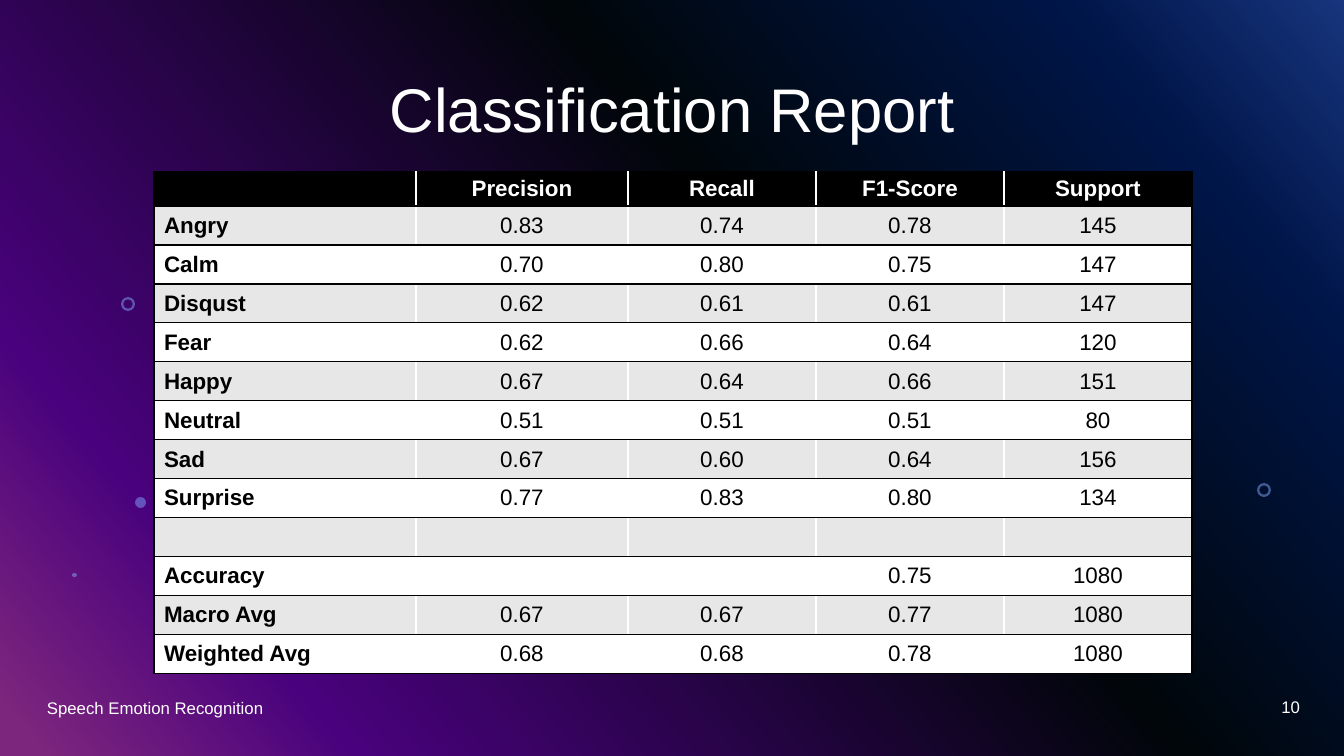
"""Build the classification report slide."""
from pptx import Presentation
from pptx.dml.color import RGBColor
from pptx.enum import shapes, text
from pptx.oxml import ns, xmlchemy as xml
from pptx.util import Pt

TITLE = "Classification Report"
HEADS = ["", "Precision", "Recall", "F1-Score", "Support"]
ROWS = [
    ["Angry", "0.83", "0.74", "0.78", "145"],
    ["Calm", "0.70", "0.80", "0.75", "147"],
    ["Disqust", "0.62", "0.61", "0.61", "147"],
    ["Fear", "0.62", "0.66", "0.64", "120"],
    ["Happy", "0.67", "0.64", "0.66", "151"],
    ["Neutral", "0.51", "0.51", "0.51", "80"],
    ["Sad", "0.67", "0.60", "0.64", "156"],
    ["Surprise", "0.77", "0.83", "0.80", "134"],
    ["", "", "", "", ""],
    ["Accuracy", "", "", "0.75", "1080"],
    ["Macro Avg", "0.67", "0.67", "0.77", "1080"],
    ["Weighted Avg", "0.68", "0.68", "0.78", "1080"],
]
COLS = [262, 212, 188, 188, 188]
HEAD_H, ROW_H = 34, 39
LEFT, MID, RIGHT = text.PP_ALIGN.LEFT, text.PP_ALIGN.CENTER, text.PP_ALIGN.RIGHT
FOOT = [
    ("Speech Emotion Recognition", (37, 688, 454, 40), LEFT),
    ("10", (1008, 687, 302, 40), RIGHT),
]
RING, DOT = shapes.MSO_SHAPE.DONUT, shapes.MSO_SHAPE.OVAL
DOTS = [
    (RING, (121, 297, 14, 14)),
    (DOT, (135, 497, 11, 11)),
    (RING, (1257, 483, 14, 14)),
    (DOT, (72, 573, 5, 4)),
]
STOPS = [(0, "316CFC"), (14, "022D94"), (40, "020D13"), (82, "9405FC"), (98, "FC4EFB")]
HEX = {"black": "000000", "white": "FFFFFF", "band": "E7E7E7", "dot": "83A7FD"}
SIZE = (1344, 756)
SCALE = 914400 / 100.8


def emu(*px):
    return [round(n * SCALE) for n in px]


def rgb(name):
    return RGBColor.from_string(HEX[name])


def sub(node, tag, **attrs):
    child = xml.OxmlElement(tag)
    for key, val in attrs.items():
        child.set(key, str(val))
    node.append(child)
    return child


def write(frame, words, size, color, align, bold=False):
    frame.vertical_anchor = text.MSO_ANCHOR.MIDDLE
    para = frame.paragraphs[0]
    para.alignment = align
    run = para.add_run()
    run.text = words
    font = run.font
    font.name, font.size, font.bold = "Arial", Pt(size), bold
    font.color.rgb = rgb(color)
    return para


def paint(slide):
    fill = slide.background.fill
    fill.gradient()
    fill.gradient_angle = 360 - 140
    stops = slide.element.find(".//" + ns.qn("a:gsLst"))
    stops.clear()
    for pos, color in STOPS:
        stop = sub(stops, "a:gs", pos=pos * 1000)
        sub(stop, "a:srgbClr", val=color)


def shape(slide, kind, box, color, alpha):
    item = slide.shapes.add_shape(kind, *emu(*box))
    item.shadow.inherit = False
    item.line.fill.background()
    item.fill.solid()
    item.fill.fore_color.rgb = rgb(color)
    tint = item.fill._xPr.find(".//" + ns.qn("a:srgbClr"))
    sub(tint, "a:alpha", val=alpha * 1000)
    if kind == RING:
        item.adjustments[0] = 0.17


def cell_look(cell, sides, color):
    props = cell._tc.get_or_add_tcPr()
    for side in sides:
        line = sub(props, "a:ln" + side, w=Pt(1))
        sub(sub(line, "a:solidFill"), "a:srgbClr", val=HEX["black"])
    cell.fill.solid()
    cell.fill.fore_color.rgb = rgb(color)
    cell.margin_top = cell.margin_bottom = 0


def report(slide):
    data = [HEADS] + ROWS
    high = HEAD_H + ROW_H * len(ROWS)
    box = emu(154, 172, sum(COLS), high)
    table = slide.shapes.add_table(len(data), len(COLS), *box).table
    for col, wide in zip(table.columns, emu(*COLS)):
        col.width = wide
    last = len(COLS) - 1
    for r, row in enumerate(data):
        table.rows[r].height = emu(ROW_H if r else HEAD_H)[0]
        back = "black" if r == 0 else "band" if r % 2 else "white"
        for c, words in enumerate(row):
            cell = table.cell(r, c)
            sides = ["L"] * (c == 0) + ["R"] * (c == last) + ["T", "B"]
            cell_look(cell, sides, back)
            if words:
                ink = "black" if r else "white"
                align = MID if c else LEFT
                write(cell.text_frame, words, 16, ink, align, r == 0 or c == 0)
                cell.vertical_anchor = text.MSO_ANCHOR.MIDDLE


def main():
    deck = Presentation()
    deck.slide_width, deck.slide_height = emu(*SIZE)
    slide = deck.slides.add_slide(deck.slide_layouts[5])
    paint(slide)
    shape(slide, shapes.MSO_SHAPE.RECTANGLE, (0, 0, *SIZE), "black", 50)
    for kind, box in DOTS:
        shape(slide, kind, box, "dot", 49)
    title = slide.shapes.title
    title.left, title.top, title.width, title.height = emu(93, 40, 1159, 146)
    write(title.text_frame, TITLE, 44, "white", MID).line_spacing = 0.9
    slide.shapes._spTree.append(title.element)
    report(slide)
    for words, box, align in FOOT:
        frame = slide.shapes.add_textbox(*emu(*box)).text_frame
        frame.word_wrap = True
        write(frame, words, 12, "white", align)
    deck.save("out.pptx")


if __name__ == "__main__":
    main()
